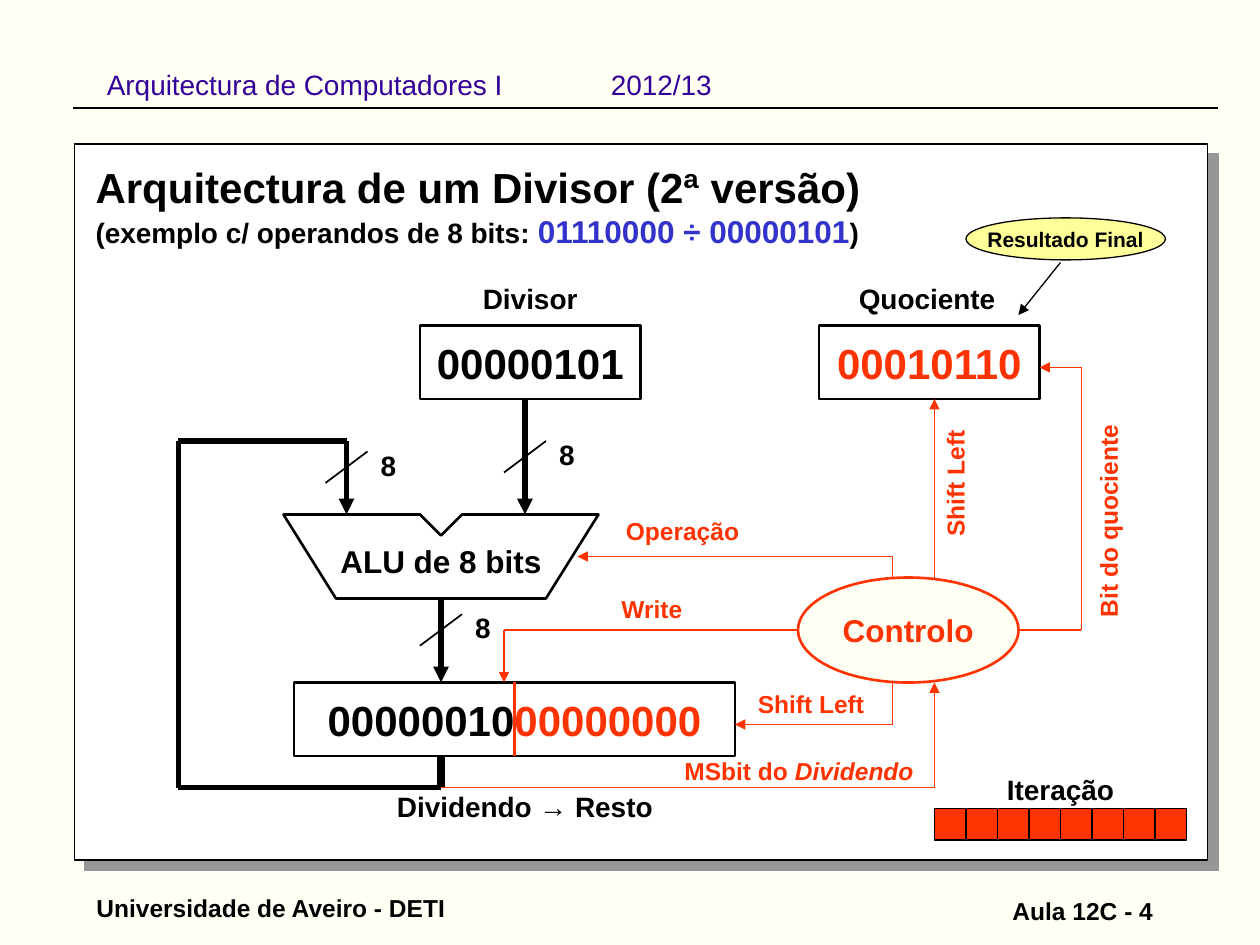
import pptx
import pptx.dml.color
import pptx.enum.shapes
import pptx.enum.text
import pptx.oxml
import pptx.oxml.ns
import pptx.util

COLORS = {"paper": "FFFFF4", "white": "FFFFFF", "black": "000000", "signal": "FF3300",
          "operand": "3333CC", "header": "330099", "note": "FFFF99", "shadow": "969696"}
COLUMNS, ROWS = 120, 90
ALIGN = pptx.enum.text.PP_ALIGN
ANCHOR = pptx.enum.text.MSO_ANCHOR
SHAPE = pptx.enum.shapes.MSO_SHAPE
NS = pptx.oxml.ns.nsdecls("a")


class Diagram:
    """Draws styled elements on one slide, placed on a grid of COLUMNS by ROWS."""

    def __init__(self, prs, font="Arial"):
        self.font = font
        self.unit_x = prs.slide_width / COLUMNS
        self.unit_y = prs.slide_height / ROWS
        self.slide = prs.slides.add_slide(prs.slide_layouts[5])
        self.shapes = self.slide.shapes
        fill = self.slide.background.fill
        fill.solid()
        fill.fore_color.rgb = self.color("paper")

    def color(self, name):
        return pptx.dml.color.RGBColor.from_string(COLORS[name])

    def x(self, column):
        return round(column * self.unit_x)

    def y(self, row):
        return round(row * self.unit_y)

    def area(self, left, top, width, height):
        return self.x(left), self.y(top), self.x(width), self.y(height)

    def set_text(self, tf, lines, size, color="black", align=ALIGN.CENTER,
                 anchor=ANCHOR.TOP, wrap=True, bold=True):
        if isinstance(lines, str):
            lines = [[(lines, {})]]
        tf.word_wrap = wrap
        tf.vertical_anchor = anchor
        for i, runs in enumerate(lines):
            p = tf.add_paragraph() if i else tf.paragraphs[0]
            p.alignment = align
            for text, look in runs:
                r = p.add_run()
                r.text = text
                r.font.name = self.font
                r.font.size = pptx.util.Pt(look.get("size", size))
                r.font.bold = bold
                r.font.italic = look.get("italic")
                r.font.color.rgb = self.color(look.get("color", color))

    def title(self, area, lines, size):
        sp = self.shapes.title
        sp.left, sp.top, sp.width, sp.height = self.area(*area)
        tf = sp.text_frame
        tf.auto_size = pptx.enum.text.MSO_AUTO_SIZE.NONE
        self.set_text(tf, lines, size, align=ALIGN.LEFT)
        return sp

    def label(self, area, lines, size, rotation=0, **look):
        sp = self.shapes.add_textbox(*self.area(*area))
        sp.rotation = rotation
        self.set_text(sp.text_frame, lines, size, **look)
        return sp

    def outline(self, sp, fill, line, weight):
        sp.shadow.inherit = False
        if fill:
            sp.fill.solid()
            sp.fill.fore_color.rgb = self.color(fill)
        else:
            sp.fill.background()
        sp.line.color.rgb = self.color(line)
        sp.line.width = pptx.util.Pt(weight)
        return sp

    def box(self, area, fill="white", line="black", weight=1.5, kind=SHAPE.RECTANGLE,
            lines=None, size=24, color="black"):
        sp = self.outline(self.shapes.add_shape(kind, *self.area(*area)), fill, line, weight)
        if lines:
            self.set_text(sp.text_frame, lines, size, color, anchor=ANCHOR.MIDDLE, wrap=False)
        return sp

    def polygon(self, points, weight=1.5):
        start, *rest = [(self.x(a), self.y(b)) for a, b in points]
        builder = self.shapes.build_freeform(*start)
        builder.add_line_segments(rest, close=True)
        return self.outline(builder.convert_to_shape(), None, "black", weight)

    def wire(self, *points, color="black", weight=1, arrow=False):
        for (x1, y1), (x2, y2) in zip(points, points[1:]):
            sp = self.shapes.add_connector(pptx.enum.shapes.MSO_CONNECTOR.STRAIGHT,
                                           self.x(x1), self.y(y1), self.x(x2), self.y(y2))
            sp.line.color.rgb = self.color(color)
            sp.line.width = pptx.util.Pt(weight)
            sp._element.spPr.append(pptx.oxml.parse_xml(f"<a:effectLst {NS}/>"))
        if arrow:
            sp.line._get_or_add_ln().append(
                pptx.oxml.parse_xml(f'<a:tailEnd {NS} type="triangle"/>'))


def draw_frame(d):
    panel = d.box((7.1, 13.7, 107.9, 68.2), weight=1)
    effects = panel._element.spPr.find(pptx.oxml.ns.qn("a:effectLst"))
    effects.append(pptx.oxml.parse_xml(
        f'<a:outerShdw {NS} dist="107950" dir="2700000" algn="ctr" rotWithShape="0">'
        f'<a:srgbClr val="{COLORS["shadow"]}"/></a:outerShdw>'))
    title = d.title((7.9, 14.8, 107, 9.6), [
        [("Arquitectura de um Divisor (2ª versão)", {})],
        [("(exemplo c/ operandos de 8 bits: ", {"size": 16}),
         ("01110000 ÷ 00000101", {"size": 18, "color": "operand"}),
         (")", {"size": 16})]], 24)
    panel._element.addnext(title._element)
    header = d.label((9, 3, 102, 10), "Arquitectura de Computadores I\t2012/13", 16,
                     color="header", align=ALIGN.LEFT, anchor=ANCHOR.MIDDLE, bold=False)
    stop = pptx.util.Inches(4)
    header.text_frame.paragraphs[0]._p.get_or_add_pPr().append(pptx.oxml.parse_xml(
        f'<a:tabLst {NS}><a:tab pos="{stop}" algn="l"/></a:tabLst>'))
    d.wire((7, 10.3), (116, 10.3))
    d.label((8, 84.5, 40, 4), "Universidade de Aveiro - DETI", 14, align=ALIGN.LEFT)
    d.label((86, 84.7, 25, 4), "Aula 12C - 4", 14, align=ALIGN.RIGHT)


def draw_datapath(d):
    d.wire((50, 38), (50, 49), weight=3, arrow=True)
    d.wire((42, 57), (42, 65), weight=3, arrow=True)
    d.wire((42, 72), (42, 75), weight=4.5)
    d.wire((42, 75), (17, 75), (17, 42), (33, 42), (33, 49), weight=3, arrow=True)
    for x, y in ((50, 43.5), (33, 44.5), (42, 60)):
        d.wire((x - 2, y + 1.5), (x + 2, y - 1.5))
        d.label((x + 1, y - 2.4, 6, 4.4), "8", 16)
    d.polygon([(27, 49), (40, 49), (42, 51), (44, 49), (57, 49), (52, 57), (32, 57)])
    d.label((30, 51, 24, 4.8), "ALU de 8 bits", 18)
    d.label((42, 26.2, 17, 4.4), "Divisor", 16)
    d.box((40, 31, 21, 7), lines="00000101")
    d.label((79.8, 26.2, 17, 4.4), "Quociente", 16)
    d.box((78, 31, 21, 7), lines="00010110", color="signal")
    d.box((28, 65, 42, 7), lines=[[("00000010", {}), ("00000000", {"color": "signal"})]])
    d.wire((49, 65), (49, 72), color="signal", weight=1.5)
    d.label((34.4, 74.6, 31.2, 4.4), "Dividendo → Resto", 16)


def draw_control(d):
    for points in (((85, 56), (85, 53), (55, 53)),
                   ((76, 60), (48, 60), (48, 65)),
                   ((89, 56), (89, 38)),
                   ((97, 60), (103, 60), (103, 35), (99, 35)),
                   ((85, 65), (85, 69), (70, 69)),
                   ((42, 75), (89, 75), (89, 65))):
        d.wire(*points, color="signal", arrow=True)
    d.box((76, 55, 21, 10), "paper", "signal", kind=SHAPE.OVAL,
          lines="Controlo", size=18, color="signal")
    msbit = [[("MSbit do ", {}), ("Dividendo", {"italic": True})]]
    for left, top, width, text, align, rotation in (
            (57, 48.6, 16, "Operação", ALIGN.CENTER, 0),
            (58, 56, 9, "Write", ALIGN.LEFT, 0),
            (71, 65, 16, "Shift Left", ALIGN.LEFT, 0),
            (83, 44, 16, "Shift Left", ALIGN.CENTER, 270),
            (64, 71.4, 24.4, msbit, ALIGN.LEFT, 0),
            (93.4, 45.7, 24.4, "Bit do quociente", ALIGN.LEFT, 270)):
        d.label((left, top, width, 4.1), text, 14, rotation, color="signal", align=align)


def draw_progress(d):
    d.label((90, 73, 22, 4.4), "Iteração", 16)
    for step in range(8):
        d.box((89 + 3 * step, 77, 3, 3), "signal", weight=0.75)
    d.wire((101, 25), (97, 30), weight=0.75, arrow=True)
    d.box((92, 20.75, 19, 4), "note", weight=0.75, kind=SHAPE.OVAL,
          lines="Resultado Final", size=12)


def main():
    prs = pptx.Presentation()
    prs.slide_width = pptx.util.Inches(10)
    prs.slide_height = pptx.util.Inches(7.5)
    d = Diagram(prs)
    for draw in (draw_frame, draw_datapath, draw_control, draw_progress):
        draw(d)
    prs.save("out.pptx")


if __name__ == "__main__":
    main()
